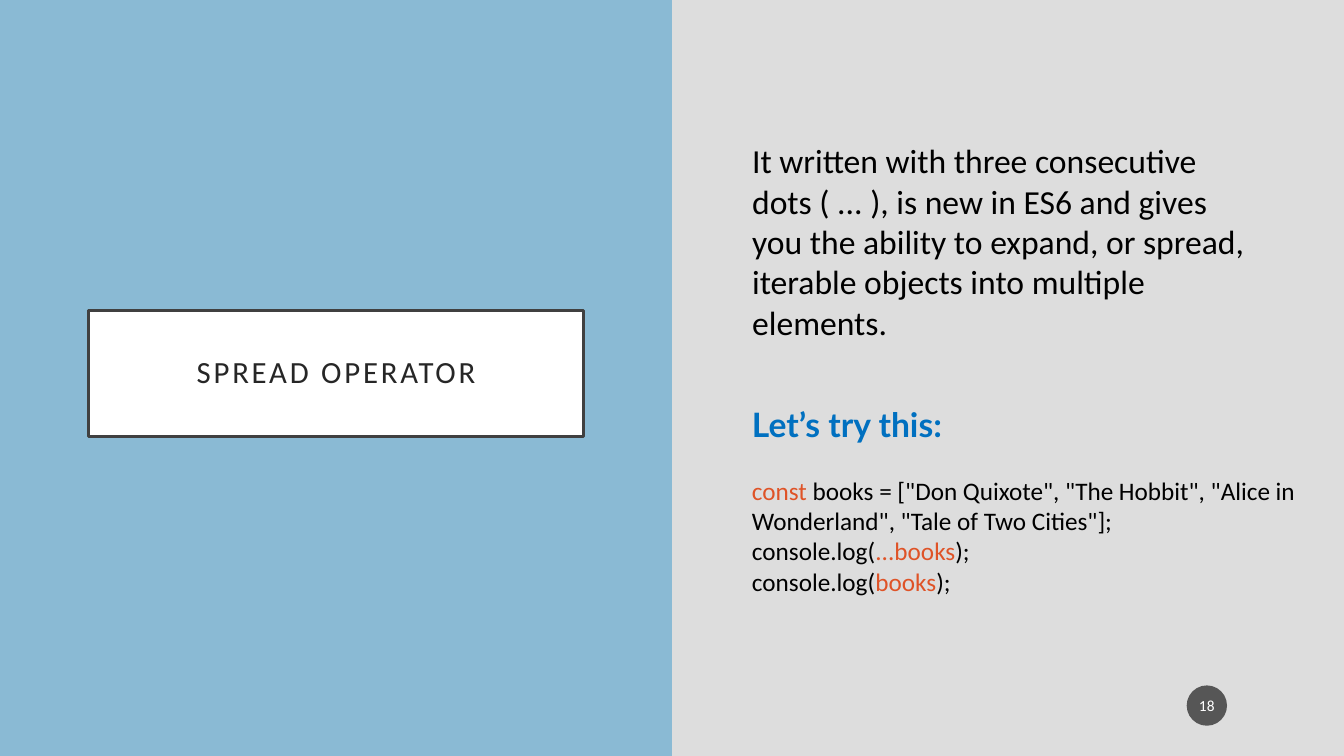
from pptx import Presentation, util as u
from pptx.dml.color import RGBColor
from pptx.enum import shapes, text
from pptx.oxml.ns import qn
from lxml import etree

HUE = {
    "back": "DDDDDD", "panel": "8ABAD4", "white": "FFFFFF", "edge": "404040",
    "title": "262626", "badge": "1D1D1D", "black": "000000",
    "blue": "0070C0", "code": "DF5327",
}


def rgb(name):
    return RGBColor.from_string(HUE[name])


def say(para, words, size=18, hue="black", face="Calibri", bold=False):
    run = para.add_run()
    run.text = words
    font = run.font
    font.size, font.name, font.bold = u.Pt(size), face, bold
    font.color.rgb = rgb(hue)
    return run


deck = Presentation()
deck.slide_width, deck.slide_height = u.Inches(13.33), u.Inches(7.5)
wide, high = deck.slide_width, deck.slide_height
slide = deck.slides.add_slide(deck.slide_layouts[1])
slide.background.fill.solid()
slide.background.fill.fore_color.rgb = rgb("back")
title, body = slide.placeholders[0], slide.placeholders[1]

panel = slide.shapes.add_shape(shapes.MSO_SHAPE.RECTANGLE, 0, 0, wide // 2, high)
panel.shadow.inherit = False
panel.fill.solid()
panel.fill.fore_color.rgb = rgb("panel")
panel.line.fill.background()
title._element.addprevious(panel._element)

title.left, title.top = u.Inches(0.88), u.Inches(3.08)
title.width, title.height = u.Inches(4.91), u.Inches(1.25)
title.fill.solid()
title.fill.fore_color.rgb = rgb("white")
title.line.color.rgb = rgb("edge")
title.line.width = u.Pt(2.5)
frame = title.text_frame
frame.auto_size = text.MSO_AUTO_SIZE.NONE
frame.vertical_anchor = text.MSO_ANCHOR.MIDDLE
frame.margin_left = frame.margin_right = u.Inches(0.2)
frame.margin_top = frame.margin_bottom = u.Inches(0.2)
para = frame.paragraphs[0]
para.alignment = text.PP_ALIGN.CENTER
para.line_spacing = 0.9
run = say(para, "SPREAD OPERATOR", size=22, hue="title")
run._r.get_or_add_rPr().set("spc", "200")

left = u.Inches(7.36)
body.left, body.top = left, u.Inches(1.34)
body.width, body.height = u.Inches(5.27), u.Inches(3.48)
body.text_frame.auto_size = text.MSO_AUTO_SIZE.NONE
para = body.text_frame.paragraphs[0]
props = para._p.get_or_add_pPr()
props.set("marL", "0")
props.set("indent", "0")
etree.SubElement(props, qn("a:buNone"))
para.space_before = u.Pt(0)
say(para, "It written with three consecutive dots ( ... ), is new in ES6 and gives "
    "you the ability to expand, or spread, iterable objects into multiple elements.",
    size=24)

badge = slide.shapes.add_shape(
    shapes.MSO_SHAPE.OVAL, u.Inches(11.77), u.Inches(6.8), u.Inches(0.4), u.Inches(0.4))
badge.shadow.inherit = False
badge.fill.solid()
badge.fill.fore_color.rgb = rgb("badge")
tint = badge._element.spPr.find(qn("a:solidFill"))[0]
etree.SubElement(tint, qn("a:alpha")).set("val", "70000")
badge.line.fill.background()
frame = badge.text_frame
frame.margin_left = frame.margin_right = u.Inches(0.02)
frame.vertical_anchor = text.MSO_ANCHOR.MIDDLE
frame.paragraphs[0].alignment = text.PP_ALIGN.CENTER
say(frame.paragraphs[0], "18", size=11, hue="white")

box = slide.shapes.add_textbox(left, u.Inches(3.96), u.Inches(5.95), u.Inches(2.02))
frame = box.text_frame
frame.word_wrap = True
say(frame.paragraphs[0], "Let’s try this:", size=24, hue="blue", face="Lato", bold=True)
lines = [
    [("const ", "code"),
     ('books = ["Don Quixote", "The Hobbit", "Alice in Wonderland", '
      '"Tale of Two Cities"];', "black")],
    [("console.log(", "black"), ("...books", "code"), (");", "black")],
    [("console.log(", "black"), ("books", "code"), (");", "black")],
]
for row, parts in enumerate(lines):
    para = frame.add_paragraph()
    para.space_before = u.Pt(0 if row else 22)
    for words, hue in parts:
        say(para, words, hue=hue)

deck.save("out.pptx")
